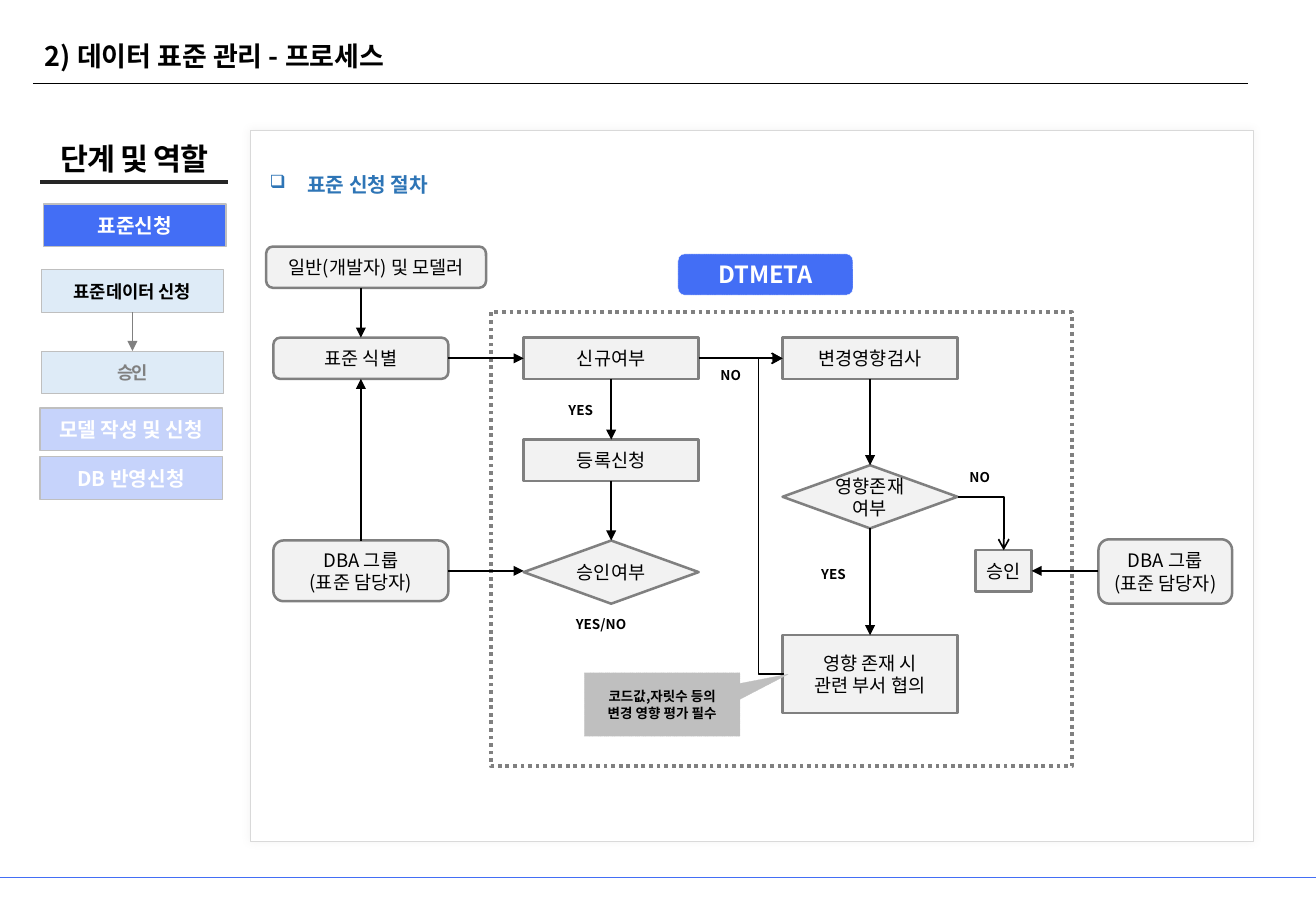
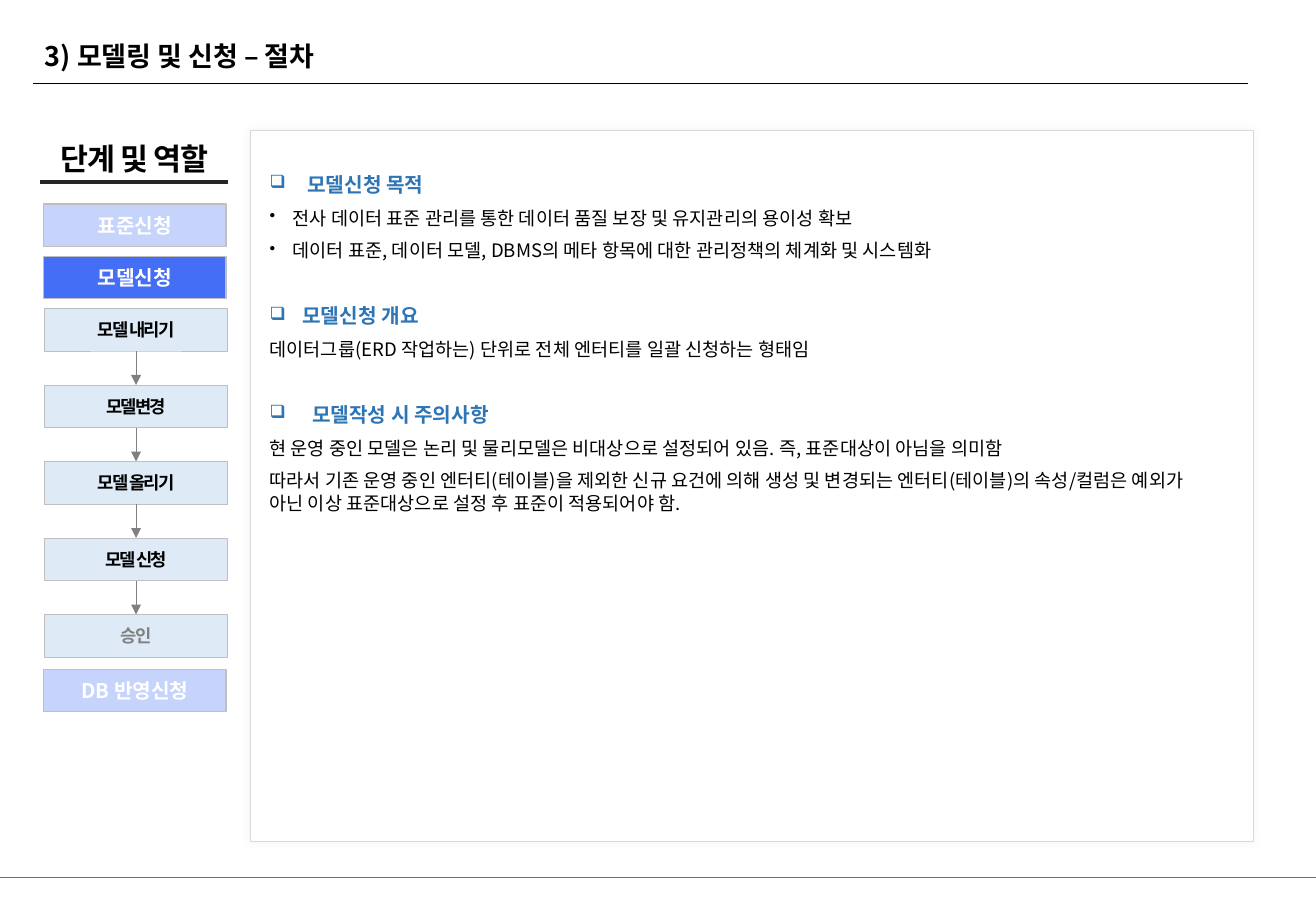
"""Build two slides on data standards: a process flow and a modelling guide."""
from dataclasses import dataclass

import lxml.etree
import pptx
import pptx.dml.color
import pptx.enum.dml
import pptx.enum.shapes
import pptx.enum.text
import pptx.oxml.ns
import pptx.util

Inches = pptx.util.Inches
Pt = pptx.util.Pt
SHAPE = pptx.enum.shapes.MSO_SHAPE
LINK = pptx.enum.shapes.MSO_CONNECTOR
DASH = pptx.enum.dml.MSO_LINE
ALIGN = pptx.enum.text.PP_ALIGN
ANCHOR = pptx.enum.text.MSO_ANCHOR


@dataclass(frozen=True)
class Theme:
    font: str = "Noto Sans CJK KR"
    black: str = "000000"
    white: str = "FFFFFF"
    blue: str = "436EF5"
    head: str = "2E75B6"
    pale: str = "DEEBF7"
    node: str = "F2F2F2"
    gray: str = "808080"
    edge: str = "BFBFBF"
    rim: str = "D9D9D9"
    dark: str = "262626"
    shade: str = "AFABAB"
    title: float = 16
    side: float = 18
    brand: float = 14
    stage: float = 12
    body: float = 11
    step: float = 10.5
    note: float = 8


T = Theme()
STAGE_W, STAGE_H = 1.5, 0.35
NODE_W, NODE_H = 1.44, 0.34
LEFT, MID, RIGHT = 2.25, 4.31, 6.44
TOP = 2.78


def rgb(code):
    return pptx.dml.color.RGBColor.from_string(code)


def add(parent, tag, **attrs):
    return lxml.etree.SubElement(parent, pptx.oxml.ns.qn(tag), **attrs)


def write(frame, text, size=T.body, color=T.black, bold=False, align=None,
          track=0, bullet=None, hang=0, before=0, after=0, lead=None):
    for line in text.split("\n"):
        para = frame.paragraphs[0] if not frame.text else frame.add_paragraph()
        para.alignment = align
        para.space_before = Pt(before)
        para.space_after = Pt(after)
        para.line_spacing = lead
        if bullet:
            props = para._p.get_or_add_pPr()
            props.set("marL", str(Inches(hang)))
            props.set("indent", str(-Inches(hang)))
            add(props, "a:buSzPct", val="90000")
            add(props, "a:buChar", char=bullet)
        run = para.add_run()
        run.text = line
        font = run.font
        font.size, font.bold, font.name = Pt(size), bold, T.font
        font.color.rgb = rgb(color)
        props = run._r.get_or_add_rPr()
        add(props, "a:ea", typeface=T.font)
        if track:
            props.set("spc", str(int(track * 100)))


def fit(frame, anchor=ANCHOR.TOP, inset=(0.1, 0.05), wrap=True):
    frame.margin_left = frame.margin_right = Inches(inset[0])
    frame.margin_top = frame.margin_bottom = Inches(inset[1])
    frame.vertical_anchor = anchor
    frame.word_wrap = wrap
    return frame


def label(slide, x, y, w, h, **layout):
    box = slide.shapes.add_textbox(Inches(x), Inches(y), Inches(w), Inches(h))
    return fit(box.text_frame, **layout)


def block(slide, x, y, w, h, text="", kind=SHAPE.RECTANGLE, fill=None,
          line=T.edge, width=0.75, dash=None, alpha=None, inset=(0.1, 0.05),
          wrap=False, **style):
    shape = slide.shapes.add_shape(kind, Inches(x), Inches(y), Inches(w), Inches(h))
    shape.shadow.inherit = False
    if fill:
        shape.fill.solid()
        shape.fill.fore_color.rgb = rgb(fill)
    else:
        shape.fill.background()
    if alpha:
        paint = shape._element.xpath("./p:spPr/a:solidFill/a:srgbClr")[0]
        add(paint, "a:alpha", val=str(alpha * 1000))
    shape.line.color.rgb = rgb(line)
    shape.line.width = Pt(width)
    if dash:
        shape.line.dash_style = dash
    if text:
        fit(shape.text_frame, ANCHOR.MIDDLE, inset, wrap)
        write(shape.text_frame, text, align=ALIGN.CENTER, **style)
    return shape


def link(slide, x1, y1, x2, y2, color=T.black, width=1, tail="triangle",
         kind=LINK.STRAIGHT):
    wire = slide.shapes.add_connector(kind, Inches(x1), Inches(y1), Inches(x2), Inches(y2))
    wire.line.color.rgb = rgb(color)
    wire.line.width = Pt(width)
    props = wire._element.spPr
    if tail:
        add(wire.line._get_or_add_ln(), "a:tailEnd", type=tail)
    add(props, "a:effectLst")
    return wire


def node(slide, x, y, text, w=NODE_W, h=NODE_H, kind=SHAPE.RECTANGLE):
    block(slide, x, y, w, h, text, kind, T.node, T.gray, 1.5)


def stage(slide, x, y, text, active=False):
    block(slide, x, y, STAGE_W, STAGE_H, text, fill=T.blue,
          alpha=None if active else 30, size=T.stage, color=T.white, bold=True)


def steps(slide, x, top, pitch, items):
    for i, (text, track) in enumerate(items):
        y = top + i * pitch
        last = i == len(items) - 1
        block(slide, x, y, STAGE_W, STAGE_H, text, fill=T.pale, width=0.5,
              inset=(0.04, 0.05), wrap=True, size=T.step, bold=True, track=track,
              color=T.gray if last else T.black)
        if not last:
            mid = x + STAGE_W / 2
            link(slide, mid, y + STAGE_H, mid, y + pitch, T.gray, 0.5)


def heading(frame, text, hang=0.31, before=0):
    write(frame, text, T.stage, T.head, True, bullet="❑", hang=hang,
          before=before, after=6)


def rules(layout, slide):
    """Move the two page rules to the shared layout."""
    for x1, x2, y, color, width in ((0, 10.83, 7.22, T.blue, 0.5),
                                    (0.27, 10.27, 0.69, T.black, 0.75)):
        rule = link(slide, x1, y, x2, y, color, width, None)
        layout.shapes.element.append(rule._element)


def page(deck, text):
    slide = deck.slides.add_slide(deck.slide_layouts[5])
    title = slide.shapes.title
    title.left, title.top = Inches(0.27), Inches(0.31)
    title.width, title.height = Inches(10.05), Inches(0.4)
    write(fit(title.text_frame), text, T.title, bold=True, align=ALIGN.LEFT, lead=0.9)
    side = label(slide, 0.33, 1.11, 1.55, 0.38, anchor=ANCHOR.MIDDLE, inset=(0, 0.04))
    write(side, "단계 및 역할", T.side, bold=True, align=ALIGN.CENTER, track=-0.5)
    link(slide, 0.33, 1.5, 1.88, 1.5, T.dark, 2.25, None)
    panel = block(slide, 2.06, 1.07, 8.26, 5.86, fill=T.white, line=T.rim, width=0.5)
    glow = add(panel._element.xpath("./p:spPr/a:effectLst")[0], "a:outerShdw",
               blurRad=str(Pt(5)), dist="0", dir="0", algn="ctr", rotWithShape="0")
    add(add(glow, "a:srgbClr", val=T.shade), "a:alpha", val="15000")
    return slide


def flow(slide):
    """Draw the request flow with its nodes, arrows and answers."""
    block(slide, 4.04, 2.57, 4.78, 3.74, line=T.gray, width=2.25, dash=DASH.ROUND_DOT)
    block(slide, 5.58, 2.09, NODE_W, NODE_H, "DTMETA", SHAPE.ROUNDED_RECTANGLE,
          T.blue, T.white, 0.25, DASH.SQUARE_DOT, inset=(0, 0), size=T.brand,
          color=T.white, bold=True)
    for x, y, text in ((MID, TOP, "신규여부"), (MID, 3.62, "등록신청"),
                       (RIGHT, TOP, "변경영향검사")):
        node(slide, x, y, text)
    node(slide, 8.03, 4.53, "승인", w=0.46)
    node(slide, RIGHT, 5.23, "영향 존재 시\n관련 부서 협의", h=0.64)
    group = "DBA 그룹\n(표준 담당자)"
    for x, y, w, h, text in ((2.19, 2.03, 1.81, NODE_H, "일반(개발자) 및 모델러"),
                             (LEFT, TOP, NODE_W, NODE_H, "표준 식별"),
                             (LEFT, 4.45, NODE_W, 0.5, group),
                             (9.04, 4.44, 1.1, 0.53, group)):
        node(slide, x, y, text, w, h, SHAPE.ROUNDED_RECTANGLE)
    for x, y, text in ((MID, 4.45, "승인여부"), (RIGHT, 3.83, "영향존재\n여부")):
        node(slide, x, y, text, h=0.52, kind=SHAPE.DIAMOND)

    for x, y1, y2 in ((LEFT, 2.37, TOP), (LEFT, 4.45, 3.12), (MID, 3.12, 3.62),
                      (MID, 3.96, 4.45), (RIGHT, 3.12, 3.83), (RIGHT, 4.35, 5.23)):
        link(slide, x + NODE_W / 2, y1, x + NODE_W / 2, y2)
    for x1, x2, y in ((3.69, MID, 2.95), (5.75, RIGHT, 2.95), (3.69, MID, 4.7),
                      (9.04, 8.49, 4.7)):
        link(slide, x1, y, x2, y)

    bend = link(slide, 7.88, 4.09, 8.26, 4.53, tail="arrow", kind=LINK.ELBOW)
    bend._element.xpath("./p:spPr/a:prstGeom")[0].set("prst", "bentConnector2")
    back = link(slide, 6.44, 2.95, 6.45, 5.55, tail="arrow", kind=LINK.ELBOW)
    back._element.xpath("./p:spPr/a:xfrm")[0].set("rot", "10800000")
    guides = back._element.xpath("./p:spPr/a:prstGeom/a:avLst")[0]
    add(guides, "a:gd", name="adj1", fmla="val 2100000")

    for x, y, w, text in ((4.58, 3.26, 0.52, "YES"), (4.64, 5.02, 0.78, "YES/NO"),
                          (5.83, 2.97, 0.42, "NO"), (6.66, 4.61, 0.54, "YES"),
                          (7.88, 3.81, 0.42, "NO")):
        write(label(slide, x, y, w, 0.24), text, T.note, bold=True)
    note = block(slide, 4.81, 5.54, 1.28, 0.52, "코드값,자릿수 등의\n변경 영향 평가 필수",
                 SHAPE.RECTANGULAR_CALLOUT, T.edge, width=0.25, dash=DASH.ROUND_DOT,
                 inset=(0, 0), wrap=True, size=T.note, bold=True)
    note.adjustments[0], note.adjustments[1] = 0.81, -0.48


def guide(frame):
    """Write the purpose, outline and cautions of a model request."""
    heading(frame, "모델신청 목적")
    for text in ("전사 데이터 표준 관리를 통한 데이터 품질 보장 및 유지관리의 용이성 확보",
                 "데이터 표준, 데이터 모델, DBMS의 메타 항목에 대한 관리정책의 체계화 및 시스템화"):
        write(frame, text, bullet="•", hang=0.19, after=6)
    heading(frame, "모델신청 개요", 0.27, 19)
    write(frame, "데이터그룹(ERD 작업하는) 단위로 전체 엔터티를 일괄 신청하는 형태임", after=6)
    heading(frame, "모델작성 시 주의사항", 0.35, 19)
    for text in ("현 운영 중인 모델은 논리 및 물리모델은 비대상으로 설정되어 있음. 즉, 표준대상이 아님을 의미함",
                 "따라서 기존 운영 중인 엔터티(테이블)을 제외한 신규 요건에 의해 생성 및 변경되는 "
                 "엔터티(테이블)의 속성/컬럼은 예외가 아닌 이상 표준대상으로 설정 후 표준이 적용되어야 함."):
        write(frame, text, after=6)


def main():
    deck = pptx.Presentation()
    deck.slide_width, deck.slide_height = Inches(10.83), Inches(7.5)

    slide = page(deck, "2) 데이터 표준 관리 - 프로세스")
    rules(deck.slide_layouts[5], slide)
    stage(slide, 0.36, 1.68, "표준신청", True)
    steps(slide, 0.34, 2.22, 0.67, (("표준데이터 신청", 0), ("승인", -1)))
    stage(slide, 0.33, 3.36, "모델 작성 및 신청")
    stage(slide, 0.33, 3.76, "DB 반영신청")
    heading(label(slide, 2.12, 1.37, 8.02, 0.3), "표준 신청 절차")
    flow(slide)

    slide = page(deck, "3) 모델링 및 신청 – 절차")
    stage(slide, 0.36, 1.68, "표준신청")
    stage(slide, 0.36, 2.11, "모델신청", True)
    names = ("모델 내리기", "모델변경", "모델 올리기", "모델 신청", "승인")
    steps(slide, 0.37, 2.54, 0.63, [(name, -1) for name in names])
    stage(slide, 0.36, 5.51, "DB 반영신청")
    guide(label(slide, 2.12, 1.37, 8.02, 5.06))

    deck.save("out.pptx")


if __name__ == "__main__":
    main()
